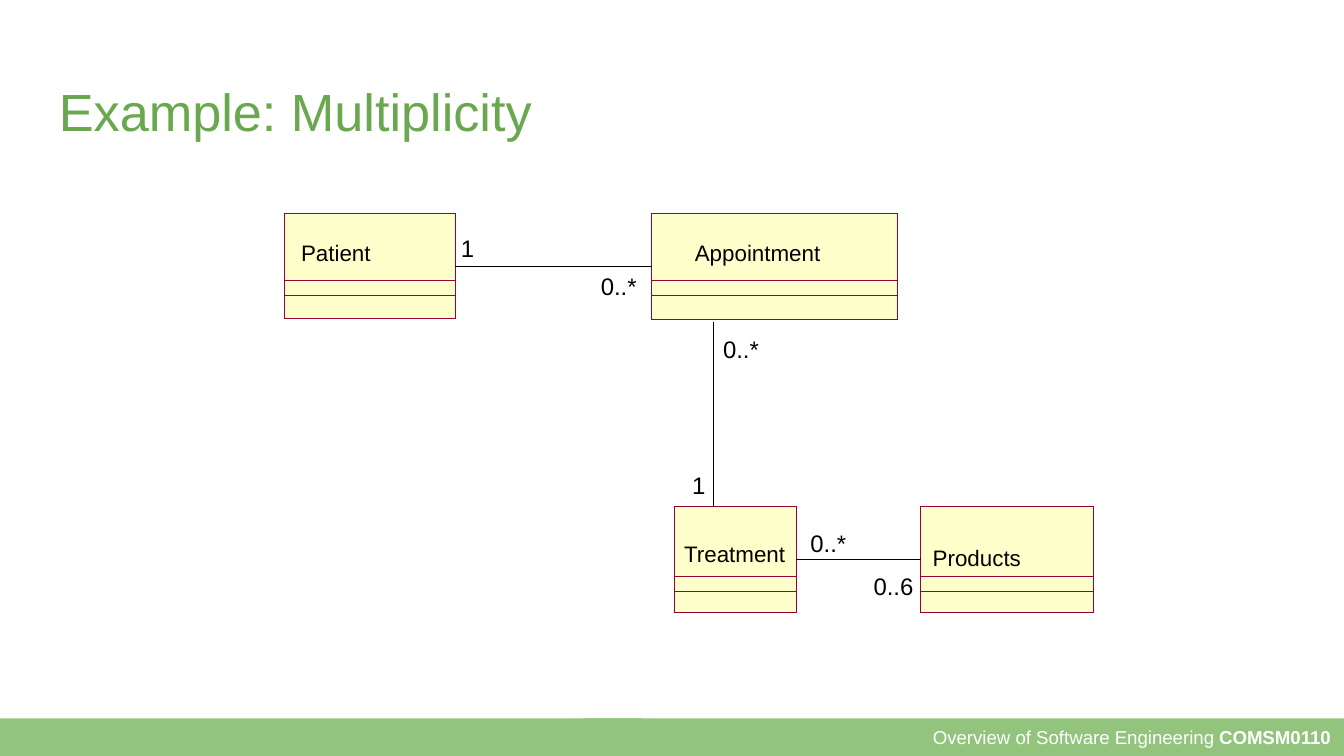
import pptx
import pptx.util
import pptx.dml.color
import pptx.enum.shapes
import pptx.enum.text
import pptx.oxml.ns
import lxml.etree

Inches = pptx.util.Inches
Pt = pptx.util.Pt
ALIGN = pptx.enum.text.PP_ALIGN
ANCHOR = pptx.enum.text.MSO_ANCHOR

WIDTH = 10
HEIGHT = WIDTH * 9 / 16


def rgb(value):
    return pptx.dml.color.RGBColor.from_string(value)


class Diagram:
    FONT = "Arial"
    INK = "000000"
    BORDER = "990033"
    FILL = "FFFFCC"
    GREEN = "93C47D"
    TITLE = "6AA84F"
    NAME_SIZE = 12
    LABEL_SIZE = 12.8
    HAIRLINE = 0.01

    def __init__(self, slide):
        self.s = slide

    def style_run(self, r, size, color, bold=False):
        r.font.name = self.FONT
        r.font.size = Pt(size)
        r.font.color.rgb = rgb(color)
        r.font.bold = bold

    def set_frame(self, tf, inset, wrap, anchor):
        tf.margin_left = tf.margin_right = Inches(inset)
        tf.margin_top = tf.margin_bottom = Inches(inset)
        tf.word_wrap = wrap
        tf.vertical_anchor = anchor

    def set_line(self, line, color):
        line.color.rgb = rgb(color)
        line.width = Pt(self.HAIRLINE)

    def rect(self, x, y, w, h, fill=None, border=None):
        sp = self.s.shapes.add_shape(
            pptx.enum.shapes.MSO_SHAPE.RECTANGLE,
            Inches(x), Inches(y), Inches(w), Inches(h))
        sp.shadow.inherit = False
        if fill:
            sp.fill.solid()
            sp.fill.fore_color.rgb = rgb(fill)
        else:
            sp.fill.background()
        if border:
            self.set_line(sp.line, border)
        else:
            sp.line.fill.background()
        return sp

    def text(self, text, x, y, w, h, size, color=INK, inset=0, wrap=False):
        sp = self.s.shapes.add_textbox(Inches(x), Inches(y), Inches(w), Inches(h))
        tf = sp.text_frame
        self.set_frame(tf, inset, wrap, ANCHOR.TOP)
        tf.text = text
        self.style_run(tf.paragraphs[0].runs[0], size, color)

    def label(self, text, x, y, w):
        self.text(text, x, y, w, 0.21, self.LABEL_SIZE)

    def uml_class(self, name, x, y, w, h, name_at, dividers):
        """Class box whose lower compartments run from each divider to the bottom."""
        box = self.rect(x, y, w, h, self.FILL, self.BORDER)
        for top in dividers:
            self.rect(x, y + top, w, h - top, border=self.BORDER)
        name_x, name_y, name_w = name_at
        self.text(name, name_x, name_y, name_w, 0.2, self.NAME_SIZE)
        return box

    def line(self, x1, y1, x2, y2):
        c = self.s.shapes.add_connector(
            pptx.enum.shapes.MSO_CONNECTOR.STRAIGHT,
            Inches(x1), Inches(y1), Inches(x2), Inches(y2))
        self.set_line(c.line, self.INK)
        lxml.etree.SubElement(c._element.spPr, pptx.oxml.ns.qn("a:effectLst"))
        return c

    def association(self, left, right):
        """Join the right side of one class to the left side of another."""
        c = self.line(0, 0, 1, 1)
        c.begin_connect(left, 3)
        c.end_connect(right, 1)

    def footer(self, course, code):
        h = 0.28
        top = HEIGHT - h
        sp = self.rect(4.34, top, 5.66, h, self.GREEN)
        self.rect(0, top, 4.78, h, self.GREEN)
        tf = sp.text_frame
        self.set_frame(tf, 0.1, True, ANCHOR.MIDDLE)
        p = tf.paragraphs[0]
        p.alignment = ALIGN.RIGHT
        for part, bold in ((course, False), (code, True)):
            r = p.add_run()
            r.text = part
            self.style_run(r, 10, "FFFFFF", bold)


def main():
    prs = pptx.Presentation()
    prs.slide_width = Inches(WIDTH)
    prs.slide_height = Inches(HEIGHT)
    d = Diagram(prs.slides.add_slide(prs.slide_layouts[6]))

    # Footer and title
    d.footer("Overview of Software Engineering ", "COMSM0110")
    d.text("Example: Multiplicity", 0.34, 0.49, 9.32, 0.63, 28, d.TITLE,
           inset=0.1, wrap=True)

    # Classes
    upper, lower = (0.5, 0.61), (0.52, 0.63)
    patient = d.uml_class("Patient", 2.12, 1.59, 1.27, 0.78, (2.24, 1.78, 1.03), upper)
    appointment = d.uml_class("Appointment", 4.85, 1.59, 1.83, 0.79,
                              (5.17, 1.78, 0.94), upper)
    treatment = d.uml_class("Treatment", 5.02, 3.77, 0.91, 0.79,
                            (5.09, 4.02, 0.77), lower)
    products = d.uml_class("Products", 6.85, 3.77, 1.29, 0.79,
                           (6.94, 4.05, 0.66), lower)

    # Associations
    d.association(patient, appointment)
    d.association(treatment, products)
    d.line(5.31, 3.77, 5.31, 2.4)

    # Multiplicities
    for text, x, y, w in (
        ("1", 3.43, 1.74, 0.1),
        ("0..*", 4.47, 2.02, 0.52),
        ("0..*", 5.38, 2.49, 0.27),
        ("1", 5.15, 3.5, 0.1),
        ("0..*", 6.03, 3.93, 0.27),
        ("0..6", 6.5, 4.25, 0.3),
    ):
        d.label(text, x, y, w)

    prs.save("out.pptx")


if __name__ == "__main__":
    main()
